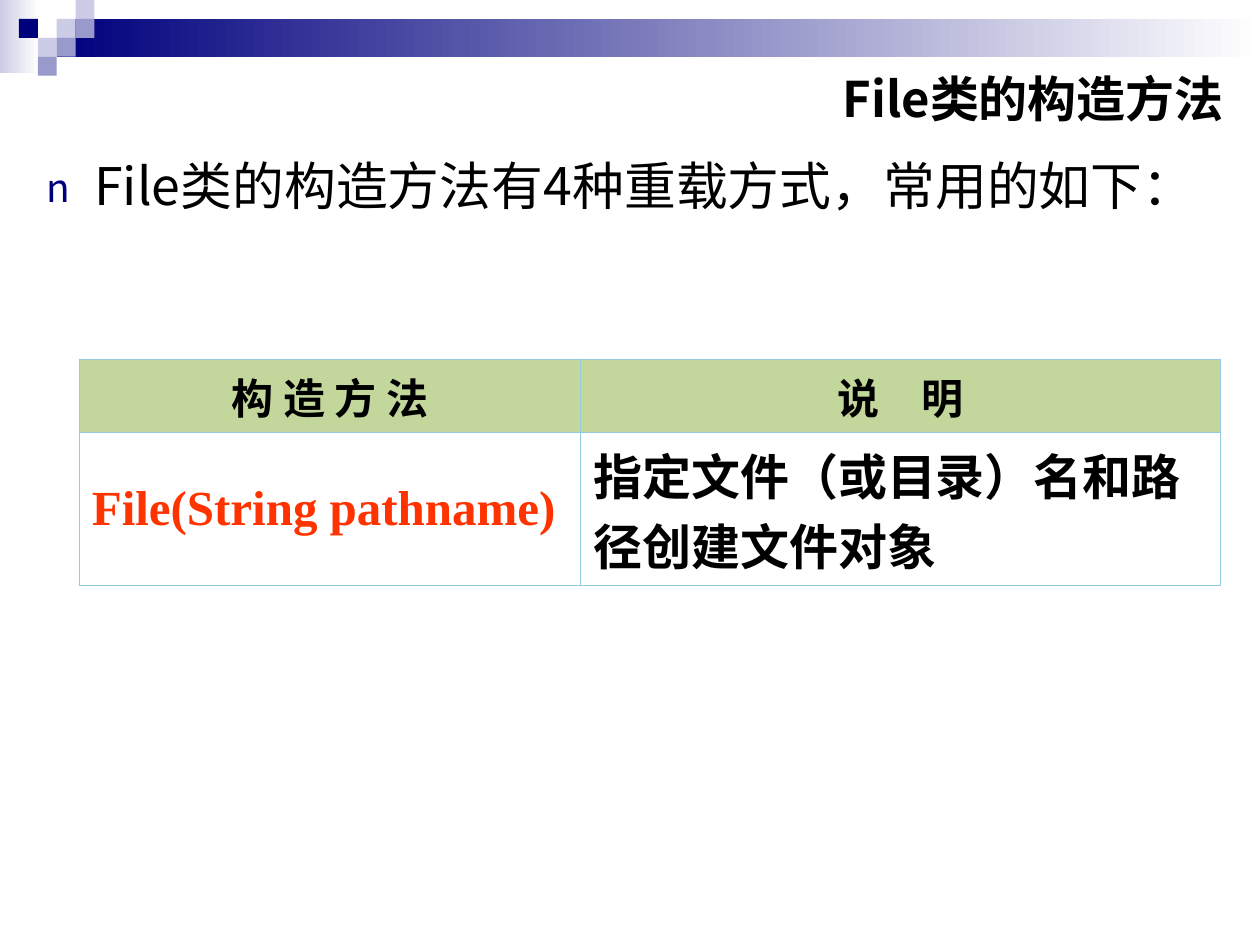
import pptx
import pptx.dml.color
import pptx.enum.shapes
import pptx.enum.text
import pptx.oxml
import pptx.oxml.ns
import pptx.util

RGBColor = pptx.dml.color.RGBColor
Inches = pptx.util.Inches
Pt = pptx.util.Pt
ALIGN = pptx.enum.text.PP_ALIGN
ANCHOR = pptx.enum.text.MSO_ANCHOR

NAVY = RGBColor(0x00, 0x00, 0x7D)
LAVENDER = RGBColor(0xCC, 0xCC, 0xE6)
PERIWINKLE = RGBColor(0x99, 0x99, 0xCC)
WHITE = RGBColor(0xFF, 0xFF, 0xFF)
BLACK = RGBColor(0x00, 0x00, 0x00)
GREEN = RGBColor(0xC3, 0xD6, 0x9B)
SKY = RGBColor(0x93, 0xCD, 0xDD)
RED = RGBColor(0xFF, 0x33, 0x00)

SANS = "Noto Sans CJK SC"
SERIF = "Times New Roman"
TILE = 0.15  # side of one mosaic square, in inches
THICK, THIN = 0.75, 0.45  # table border widths, in points


def add_xml(parent, tag, **attributes):
    child = pptx.oxml.parse_xml(f"<a:{tag} {pptx.oxml.ns.nsdecls('a')}/>")
    for key, value in attributes.items():
        child.set(key, str(value))
    parent.append(child)
    return child


def add_block(slide, left, top, width, height, color, fade_to=None):
    """Borderless rectangle, plain or fading from left to right."""
    block = slide.shapes.add_shape(
        pptx.enum.shapes.MSO_SHAPE.RECTANGLE,
        Inches(left), Inches(top), Inches(width), Inches(height))
    block.shadow.inherit = False
    block.line.fill.background()
    if fade_to is None:
        block.fill.solid()
        block.fill.fore_color.rgb = color
        return
    block.fill.gradient()
    block.fill.gradient_angle = 0
    for stop, tone, position in zip(block.fill.gradient_stops, (color, fade_to), (0, 1)):
        stop.color.rgb = tone
        stop.position = position


def write(paragraph, text, size, color=BLACK, font=SANS, bold=False):
    run = paragraph.add_run()
    run.text = text
    run.font.size = Pt(size)
    run.font.bold = bold
    run.font.color.rgb = color
    run.font.name = font
    add_xml(run.font._element, "ea", typeface=font)


def add_text_frame(slide, left, top, width, height, anchor):
    box = slide.shapes.add_textbox(Inches(left), Inches(top), Inches(width), Inches(height))
    box.text_frame.word_wrap = True
    box.text_frame.vertical_anchor = anchor
    return box.text_frame


def add_bullet(paragraph):
    properties = paragraph._p.get_or_add_pPr()
    properties.set("marL", str(Inches(0.38)))
    properties.set("indent", str(-Inches(0.38)))
    add_xml(add_xml(properties, "buClr"), "srgbClr", val=NAVY)
    add_xml(properties, "buSzPct", val=75000)
    add_xml(properties, "buFont", typeface=SANS)
    add_xml(properties, "buChar", char="n")


def set_borders(cell, widths):
    for side, width in widths.items():
        line = add_xml(cell._tc.get_or_add_tcPr(), f"ln{side}", w=Pt(width))
        add_xml(add_xml(line, "solidFill"), "srgbClr", val=SKY)


def add_banner(slide):
    add_block(slide, 0, 0, 0.31, 0.58, LAVENDER, WHITE)
    add_block(slide, 3 * TILE, TILE, 10 - 3 * TILE, 2 * TILE, NAVY, WHITE)
    # Mosaic squares as column, row, colour
    for column, row, color in (
            (3, 1, LAVENDER), (4, 0, LAVENDER), (4, 1, PERIWINKLE), (2, 2, LAVENDER),
            (1, 1, NAVY), (3, 2, PERIWINKLE), (2, 3, PERIWINKLE)):
        add_block(slide, column * TILE, row * TILE, TILE, TILE, color)


def add_constructor_table(slide):
    # Rows are tall enough for one heading line and two description lines
    widths, heights = (3.98, 5.08), (0.58, 1.22)
    table = slide.shapes.add_table(
        len(heights), len(widths), Inches(0.63), Inches(2.85),
        Inches(sum(widths)), Inches(sum(heights))).table
    for column, width in zip(table.columns, widths):
        column.width = Inches(width)
    for row, height in zip(table.rows, heights):
        row.height = Inches(height)

    heading = dict(size=24, bold=True)
    entry = dict(size=28, bold=True)
    contents = (
        (("构 造 方 法", heading), ("说　明", heading)),
        (("File(String pathname)", dict(entry, color=RED, font=SERIF)),
         ("指定文件（或目录）名和路径创建文件对象", entry)),
    )
    for r, row in enumerate(contents):
        for c, (text, style) in enumerate(row):
            cell = table.cell(r, c)
            cell.vertical_anchor = ANCHOR.MIDDLE
            # Outer edges are thick, inner edges thin
            set_borders(cell, {
                "L": THIN if c else THICK, "R": THICK if c else THIN,
                "T": THIN if r else THICK, "B": THICK if r else THIN})
            cell.fill.solid()
            cell.fill.fore_color.rgb = WHITE if r else GREEN
            paragraph = cell.text_frame.paragraphs[0]
            paragraph.alignment = ALIGN.LEFT if r else ALIGN.CENTER
            paragraph.space_before = Pt(7 if r else 6)
            write(paragraph, text, **style)


def main():
    deck = pptx.Presentation()
    deck.slide_width, deck.slide_height = Inches(10), Inches(7.5)
    slide = deck.slides.add_slide(deck.slide_layouts[6])

    add_banner(slide)

    # Title
    title = add_text_frame(slide, 4.68, 0.44, 5.13, 0.67, ANCHOR.MIDDLE).paragraphs[0]
    title.alignment = ALIGN.RIGHT
    write(title, "File类的构造方法", 28, bold=True)

    # Introduction
    intro = add_text_frame(slide, 0.27, 1.23, 9, 1.1, ANCHOR.TOP).paragraphs[0]
    intro.line_spacing = 0.9
    intro.space_before = Pt(8)
    add_bullet(intro)
    write(intro, "File类的构造方法有4种重载方式，常用的如下：", 29.6)

    add_constructor_table(slide)
    deck.save("out.pptx")


if __name__ == "__main__":
    main()
